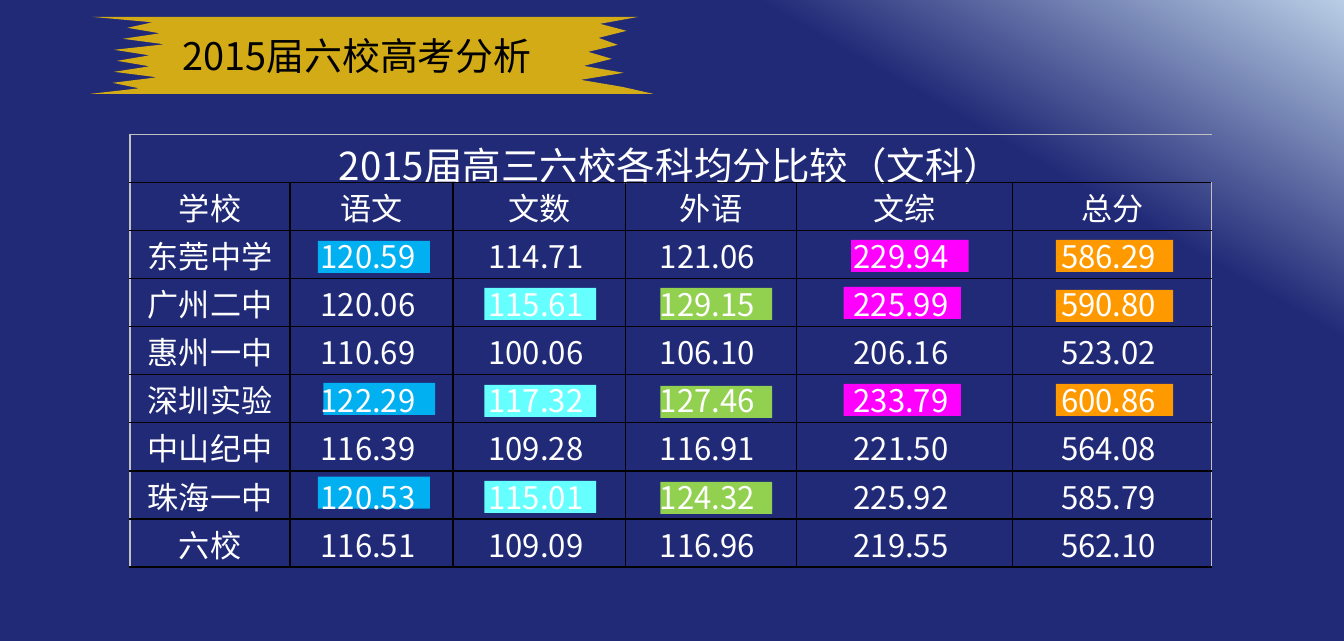
import pptx
import pptx.dml.color
import pptx.enum.shapes
import pptx.enum.text
import pptx.oxml.ns
import pptx.util
from lxml import etree

Pt = pptx.util.Pt
qn = pptx.oxml.ns.qn
FONT = "Noto Sans CJK SC"
COLORS = {
    "glow": "B9CDE5", "navy": "212A77", "gold": "FFCC00", "black": "000000",
    "white": "FFFFFF", "rim": "C0C0C0", "orange": "FF9900", "magenta": "FF00FF",
    "green": "92D050", "aqua": "66FFFF", "blue": "00B0F0",
}

HEADING = "2015届六校高考分析"
TABLE_TITLE = "2015届高三六校各科均分比较（文科）"
SCORES = [
    ["学校", "语文", "文数", "外语", "文综", "总分"],
    ["东莞中学", "120.59", "114.71", "121.06", "229.94", "586.29"],
    ["广州二中", "120.06", "115.61", "129.15", "225.99", "590.80"],
    ["惠州一中", "110.69", "100.06", "106.10", "206.16", "523.02"],
    ["深圳实验", "122.29", "117.32", "127.46", "233.79", "600.86"],
    ["中山纪中", "116.39", "109.28", "116.91", "221.50", "564.08"],
    ["珠海一中", "120.53", "115.01", "124.32", "225.92", "585.79"],
    ["六校", "116.51", "109.09", "116.96", "219.55", "562.10"],
]
COLUMN_WIDTHS = [108, 110, 116.6, 115.2, 146, 134.3]
ROW_HEIGHT = 32.47

# Colour, width and the (left, top) of each highlighted top-three score
HIGHLIGHTS = [
    ("orange", 79.2, [(712.8, 162), (712.8, 195.8), (712.8, 259.2)]),
    ("magenta", 79.2, [(574.6, 162), (569.5, 193.7), (569.5, 259.2)]),
    ("green", 75.6, [(445.7, 325.4), (445.7, 260.6), (445.7, 194.4)]),
    ("aqua", 75.6, [(326.9, 324.7), (326.9, 194.4), (326.9, 259.9)]),
    ("blue", 75.6, [(214.6, 162.7), (218.2, 258.5), (214.6, 321.8)]),
]

# Tips and notches of the ribbon's torn ends, evenly spaced from top to bottom
RIBBON_TOP, RIBBON_BOTTOM = 11.4, 63.4
LEFT_TEETH = [62, 103, 86, 108, 83, 111, 77, 101, 79, 101, 77, 106, 76, 94, 61]
RIGHT_TEETH = [431, 405, 423, 404, 417, 397, 413, 394, 421, 392, 420, 441]


def rgb(name):
    return pptx.dml.color.RGBColor.from_string(COLORS[name])


def torn_edge(teeth):
    """Points down one torn end of the ribbon."""
    step = (RIBBON_BOTTOM - RIBBON_TOP) / (len(teeth) - 1)
    return [(Pt(x), Pt(RIBBON_TOP + i * step)) for i, x in enumerate(teeth)]


class ScoreSlide:
    def __init__(self, presentation):
        self.slide = presentation.slides.add_slide(presentation.slide_layouts[5])
        self.shapes = self.slide.shapes

    def background(self):
        fill = self.slide.background.fill
        fill.gradient()
        fill.gradient_angle = 240
        for stop, color, position in zip(fill.gradient_stops, ("glow", "navy"), (0, 0.24)):
            stop.color.rgb = rgb(color)
            stop.position = position

    def paint(self, shape, color):
        shape.shadow.inherit = False
        shape.fill.solid()
        shape.fill.fore_color.rgb = rgb(color)
        shape.line.fill.background()

    def style(self, paragraph, size, color, alignment):
        paragraph.alignment = alignment
        font = paragraph.font
        font.name, font.size, font.color.rgb = FONT, Pt(size), rgb(color)
        defaults = paragraph._p.pPr.find(qn("a:defRPr"))
        etree.SubElement(defaults, qn("a:ea")).set("typeface", FONT)

    def highlight(self, color, left, top, width):
        box = self.shapes.add_shape(
            pptx.enum.shapes.MSO_SHAPE.RECTANGLE, Pt(left), Pt(top), Pt(width), Pt(21.6))
        self.paint(box, color)

    def ribbon(self):
        outline = torn_edge(RIGHT_TEETH) + torn_edge(LEFT_TEETH)[::-1]
        builder = self.shapes.build_freeform(*outline[0])
        builder.add_line_segments(outline[1:], close=True)
        banner = builder.convert_to_shape()
        self.paint(banner, "gold")
        tint = banner.element.spPr.find(qn("a:solidFill")).find(qn("a:srgbClr"))
        etree.SubElement(tint, qn("a:alpha")).set("val", "80000")
        return banner

    def heading(self, text, behind):
        title = self.shapes.title
        behind.element.addnext(title.element)
        title.left, title.top, title.width, title.height = Pt(115.9), Pt(18.7), Pt(293), Pt(38.2)
        frame = title.text_frame
        frame.text = text
        frame.word_wrap = True
        frame.auto_size = pptx.enum.text.MSO_AUTO_SIZE.SHAPE_TO_FIT_TEXT
        frame.vertical_anchor = pptx.enum.text.MSO_ANCHOR.TOP
        self.style(frame.paragraphs[0], 25.6, "black", pptx.enum.text.PP_ALIGN.LEFT)

    def border(self, cell, side, color):
        """Draw one side ("L", "R", "T" or "B"); no colour means no line."""
        line = etree.SubElement(cell._tc.get_or_add_tcPr(), qn("a:ln" + side))
        line.set("w", str(Pt(1)))
        if color is None:
            etree.SubElement(line, qn("a:noFill"))
        else:
            solid = etree.SubElement(line, qn("a:solidFill"))
            etree.SubElement(solid, qn("a:srgbClr")).set("val", COLORS[color])

    def fill_cell(self, cell, text, size, margin_right=0.7):
        cell.text = text
        cell.vertical_anchor = pptx.enum.text.MSO_ANCHOR.MIDDLE
        cell.margin_left = cell.margin_top = Pt(0.7)
        cell.margin_bottom = 0
        cell.margin_right = Pt(margin_right)
        self.style(cell.text_frame.paragraphs[0], size, "white", pptx.enum.text.PP_ALIGN.CENTER)

    def score_table(self):
        rows, columns = len(SCORES) + 2, len(COLUMN_WIDTHS)
        last_row, last_column = rows - 1, columns - 1
        table = self.shapes.add_table(
            rows, columns, Pt(87.8), Pt(90.7),
            Pt(sum(COLUMN_WIDTHS)), Pt(rows * ROW_HEIGHT)).table
        table.first_row = table.horz_banding = False
        for column, width in zip(table.columns, COLUMN_WIDTHS):
            column.width = Pt(width)
        for r, row in enumerate(table.rows):
            row.height = Pt(ROW_HEIGHT)
            rim = None if r == last_row else "rim"
            inner = None if r in (0, last_row) else "black"
            for c, cell in enumerate(row.cells):
                self.border(cell, "L", rim if c == 0 else inner)
                self.border(cell, "R", rim if c == last_column else inner)
                self.border(cell, "T", "rim" if r == 0 else "black")
                self.border(cell, "B", None if r == last_row else "black")
                cell.fill.background()
                if 0 < r < last_row:
                    is_score = r > 1 and c > 0
                    self.fill_cell(cell, SCORES[r - 1][c], 21, 5.5 if is_score else 0.7)
        for r in (0, last_row):
            table.cell(r, 0).merge(table.cell(r, last_column))
        self.fill_cell(table.cell(0, 0), TABLE_TITLE, 26)


def main():
    presentation = pptx.Presentation()
    presentation.slide_width, presentation.slide_height = Pt(907.2), Pt(432.72)
    page = ScoreSlide(presentation)
    page.background()
    for color, width, corners in HIGHLIGHTS:
        for left, top in corners:
            page.highlight(color, left, top, width)
    page.heading(HEADING, behind=page.ribbon())
    page.score_table()
    presentation.save("out.pptx")


if __name__ == "__main__":
    main()
